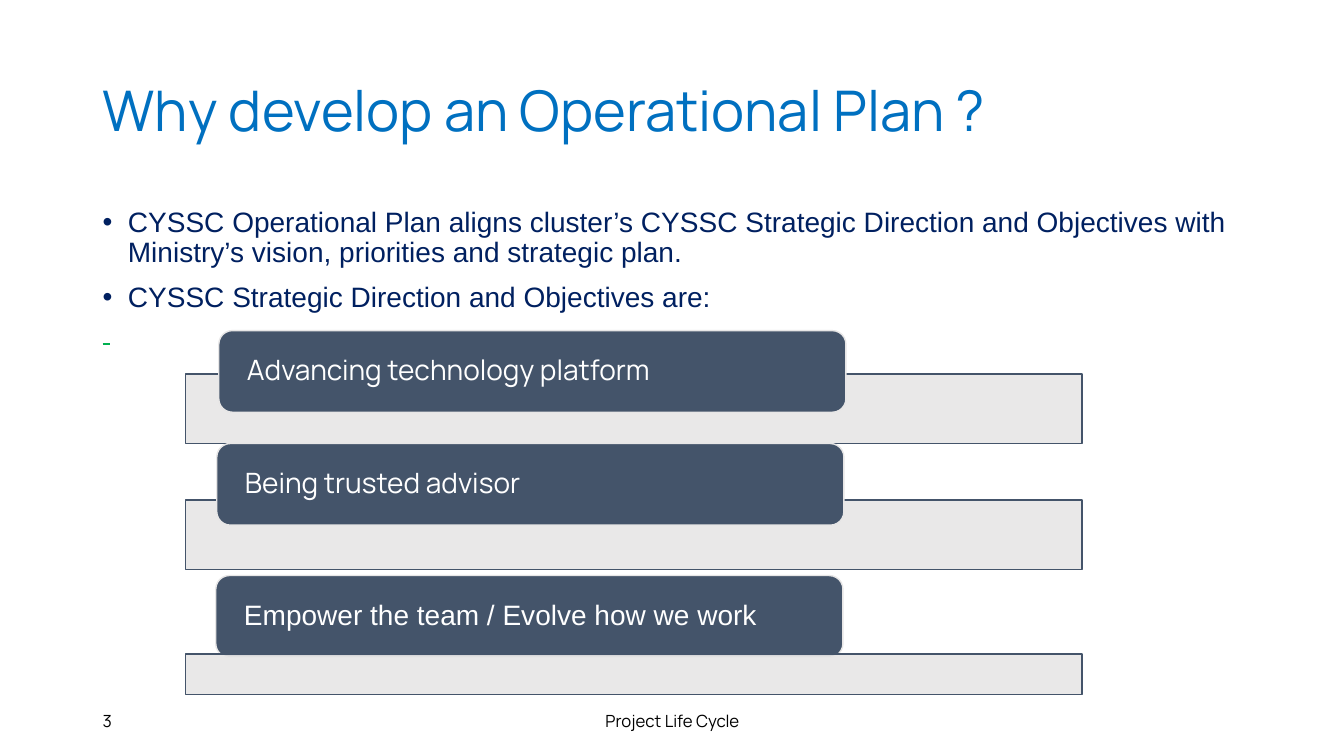
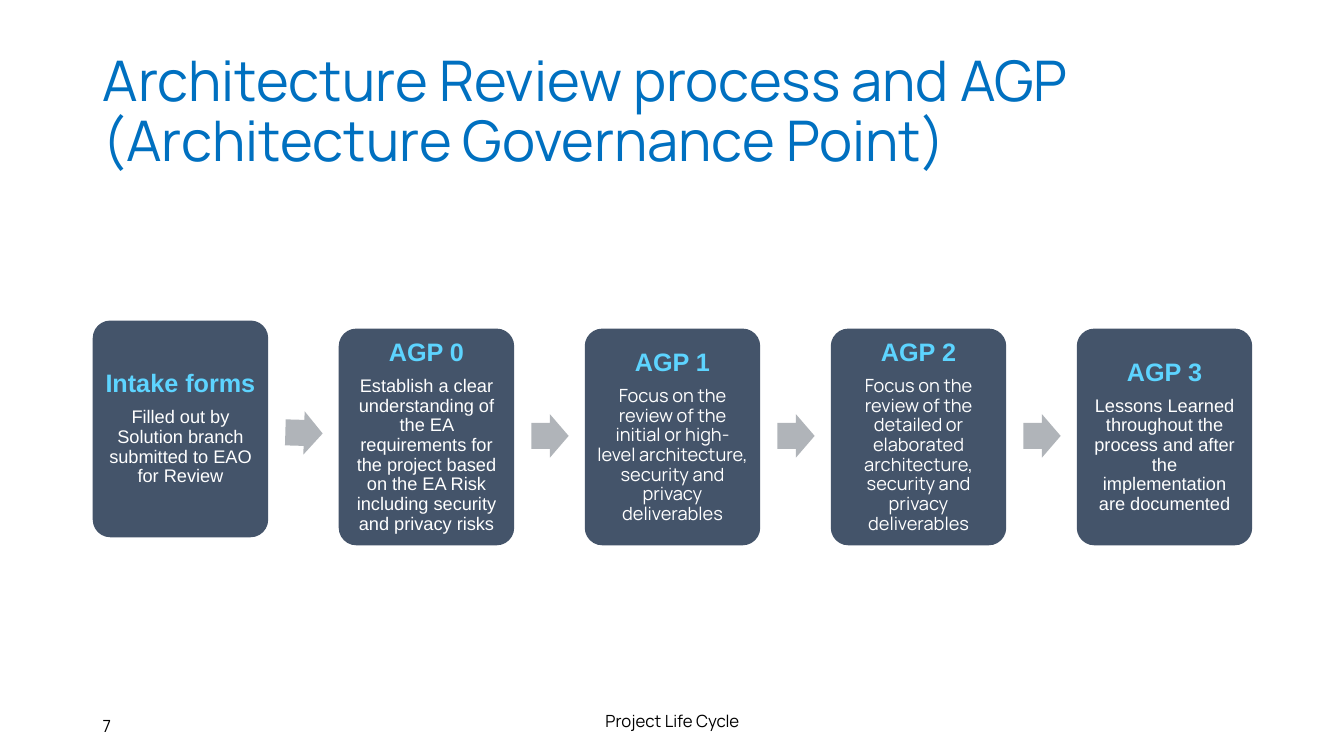
"""Build two slides on operational planning and the architecture review process."""
from dataclasses import dataclass

from lxml.etree import SubElement
from pptx import Presentation
from pptx.dml.color import RGBColor
from pptx.enum.shapes import MSO_SHAPE as Shape
from pptx.enum.text import MSO_ANCHOR as Anchor, PP_ALIGN as Align
from pptx.oxml.ns import qn
from pptx.shapes.autoshape import Shape as AutoShape
from pptx.slide import Slide
from pptx.text.text import TextFrame, _Paragraph as Paragraph
from pptx.util import Inches, Pt

BLUE = RGBColor(0x00, 0x70, 0xC0)
NAVY = RGBColor(0x00, 0x20, 0x60)
GREEN = RGBColor(0x00, 0xB0, 0x50)
SLATE = RGBColor(0x44, 0x54, 0x6A)
PALE = RGBColor(0xE7, 0xE6, 0xE6)
ARROW_GREY = RGBColor(0xB0, 0xB4, 0xB9)
CYAN = RGBColor(0x5D, 0xD4, 0xFF)
WHITE = RGBColor(0xFF, 0xFF, 0xFF)
BLACK = RGBColor(0x00, 0x00, 0x00)

ARIAL = "Arial"
MANROPE = "Manrope"
MARGIN = 0.92
CONTENT_WIDTH = 11.5
CARD_WIDTH = 1.74
CARD_HEIGHT = 2.15
CARD_PITCH = 2.44


@dataclass(frozen=True)
class Objective:
    text: str
    font: str
    left: float
    top: float
    band_top: float
    band_height: float = 0.69
    band_in_front: bool = False


@dataclass(frozen=True)
class Stage:
    heading: str
    detail: str
    font: str = ARIAL
    top: float = 3.26
    arrow_top: float = 4.11
    arrow_turn: float = 0


OBJECTIVES = [
    Objective("Advancing technology platform", MANROPE, 2.17, 3.28, 3.71),
    Objective("Being trusted advisor", MANROPE, 2.15, 4.4, 4.96),
    Objective("Empower the team / Evolve how we work", ARIAL, 2.14, 5.71, 6.49, 0.4, True),
]

REASONS = [
    "CYSSC Operational Plan aligns cluster’s CYSSC Strategic Direction and Objectives "
    "with Ministry’s vision, priorities and strategic plan.",
    "CYSSC Strategic Direction and Objectives are:",
]

STAGES = [
    Stage("Intake forms", "Filled out by Solution branch submitted to EAO for Review",
          top=3.18, arrow_top=4.08, arrow_turn=1.7),
    Stage("AGP 0", "Establish a clear understanding of the EA requirements for the project "
          "based on the EA Risk including security and privacy risks"),
    Stage("AGP 1", "Focus on the review of the initial or high-level architecture, "
          "security and privacy deliverables", MANROPE),
    Stage("AGP 2", "Focus on the review of the detailed or elaborated architecture, "
          "security and privacy deliverables", MANROPE),
    Stage("AGP 3", "Lessons Learned throughout the process and after the implementation "
          "are documented"),
]


def write(frame: TextFrame, text: str, *, size: float, color: RGBColor, font: str = MANROPE,
          bold: bool = False, align: Align = Align.LEFT, spacing: float = 1,
          before: float = 0, after: float = 0) -> Paragraph:
    """Fill the empty first paragraph, or a new one, with formatted text."""
    paragraph = frame.paragraphs[0]
    if paragraph.runs:
        paragraph = frame.add_paragraph()
    paragraph.alignment = align
    paragraph.line_spacing = spacing
    paragraph.space_before = Pt(before)
    paragraph.space_after = Pt(after)
    run = paragraph.add_run()
    run.text = text
    run.font.name = font
    run.font.size = Pt(size)
    run.font.bold = bold
    run.font.color.rgb = color
    return paragraph


def add_bullet(paragraph: Paragraph) -> None:
    """Give a paragraph a round bullet and a hanging indent."""
    properties = paragraph._p.get_or_add_pPr()
    properties.set("marL", str(Inches(0.25)))
    properties.set("indent", str(-Inches(0.25)))
    SubElement(properties, qn("a:buFont")).set("typeface", ARIAL)
    SubElement(properties, qn("a:buChar")).set("char", "•")


def add_text_area(slide: Slide, left: float, top: float, width: float, height: float,
                  anchor: Anchor = Anchor.MIDDLE) -> TextFrame:
    """Add a wrapping text box and return its frame."""
    area = slide.shapes.add_textbox(Inches(left), Inches(top), Inches(width), Inches(height))
    area.text_frame.word_wrap = True
    area.text_frame.vertical_anchor = anchor
    return area.text_frame


def add_panel(slide: Slide, kind: Shape, left: float, top: float, width: float, height: float,
              fill: RGBColor, line: RGBColor | None = None) -> AutoShape:
    """Add a flat shape with an optional thin outline."""
    panel = slide.shapes.add_shape(kind, Inches(left), Inches(top), Inches(width), Inches(height))
    panel.shadow.inherit = False
    panel.fill.solid()
    panel.fill.fore_color.rgb = fill
    if line is None:
        panel.line.fill.background()
    else:
        panel.line.color.rgb = line
        panel.line.width = Pt(1)
    return panel


def set_up_label(panel: AutoShape, side: float, end: float) -> TextFrame:
    """Prepare centred, wrapping text inside a panel."""
    frame = panel.text_frame
    frame.word_wrap = True
    frame.vertical_anchor = Anchor.MIDDLE
    frame.margin_left = frame.margin_right = Inches(side)
    frame.margin_top = frame.margin_bottom = Inches(end)
    return frame


def add_slide(deck: Presentation, title: str, number: int, number_top: float = 6.95) -> Slide:
    """Add a blank slide with the shared title and footer."""
    slide = deck.slides.add_slide(deck.slide_layouts[6])
    heading = add_text_area(slide, MARGIN, 0.4, CONTENT_WIDTH, 1.45)
    write(heading, title, size=40, color=BLUE, spacing=0.9)
    footer = add_text_area(slide, 4.42, 6.95, 4.5, 0.4)
    write(footer, "Project Life Cycle", size=12, color=BLACK, align=Align.CENTER)
    page = add_text_area(slide, MARGIN, number_top, 3, 0.4)
    write(page, str(number), size=12, color=BLACK)
    return slide


def add_band(slide: Slide, objective: Objective) -> None:
    """Draw the translucent band belonging to an objective."""
    band = add_panel(slide, Shape.RECTANGLE, 1.84, objective.band_top, 8.89,
                     objective.band_height, PALE, SLATE)
    color = band._element.spPr.find(qn("a:solidFill"))[0]
    SubElement(color, qn("a:alpha")).set("val", "90000")


def add_objective(slide: Slide, objective: Objective) -> None:
    """Draw an objective and its band in stacking order."""
    if not objective.band_in_front:
        add_band(slide, objective)
    pill = add_panel(slide, Shape.ROUNDED_RECTANGLE, objective.left, objective.top,
                     6.22, 0.81, SLATE, PALE)
    write(set_up_label(pill, 0.24, 0), objective.text, size=20, color=WHITE,
          font=objective.font, spacing=0.9)
    if objective.band_in_front:
        add_band(slide, objective)


def add_stage(slide: Slide, stage: Stage, left: float) -> None:
    """Draw the card of one review stage."""
    card = add_panel(slide, Shape.ROUNDED_RECTANGLE, left, stage.top, CARD_WIDTH, CARD_HEIGHT,
                     SLATE)
    card.adjustments[0] = 0.1
    frame = set_up_label(card, 0.07, 0.07)
    write(frame, stage.heading, size=18, color=CYAN, font=ARIAL, bold=True,
          align=Align.CENTER, spacing=0.9, after=7)
    write(frame, stage.detail, size=13, color=WHITE, font=stage.font,
          align=Align.CENTER, spacing=0.9)


def add_stage_arrow(slide: Slide, stage: Stage, left: float) -> None:
    """Draw the arrow that leads on from a stage."""
    arrow = add_panel(slide, Shape.RIGHT_ARROW, left, stage.arrow_top, 0.37, 0.43, ARROW_GREY)
    arrow.adjustments[0] = 0.6
    arrow.adjustments[1] = 0.5
    arrow.rotation = stage.arrow_turn


def build_plan_slide(deck: Presentation) -> None:
    """Build the slide on the reasons for an operational plan."""
    slide = add_slide(deck, "Why develop an Operational Plan ?", 3)
    body = add_text_area(slide, MARGIN, 2.02, CONTENT_WIDTH, 4.76, Anchor.TOP)
    for reason in REASONS:
        add_bullet(write(body, reason, size=20, color=NAVY, font=ARIAL, spacing=0.9, before=10))
    dash = write(body, " ", size=20, color=GREEN, font=ARIAL, spacing=0.9, before=10)
    dash.runs[0].font._element.set("strike", "sngStrike")
    for objective in OBJECTIVES:
        add_objective(slide, objective)


def build_review_slide(deck: Presentation) -> None:
    """Build the slide on the stages of the architecture review."""
    slide = add_slide(
        deck, "Architecture Review process and AGP (Architecture Governance Point)", 7, 7)
    for index, stage in enumerate(STAGES):
        left = MARGIN + index * CARD_PITCH
        add_stage(slide, stage, left)
        if index < len(STAGES) - 1:
            add_stage_arrow(slide, stage, left + CARD_WIDTH + 0.17)


def main() -> None:
    """Build and save the deck."""
    deck = Presentation()
    deck.slide_width = Inches(13.33)
    deck.slide_height = Inches(7.5)
    build_plan_slide(deck)
    build_review_slide(deck)
    deck.save("out.pptx")


if __name__ == "__main__":
    main()
